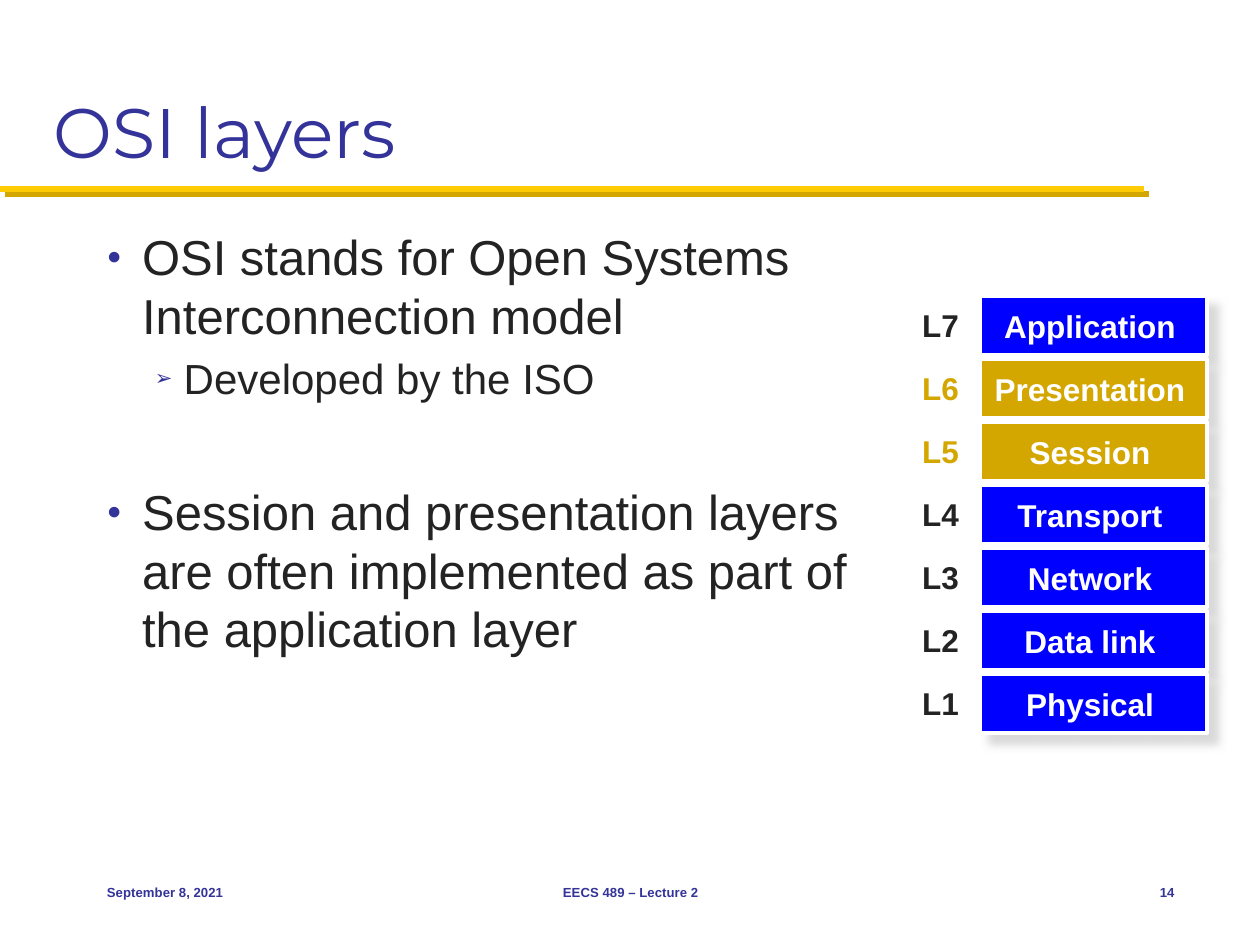
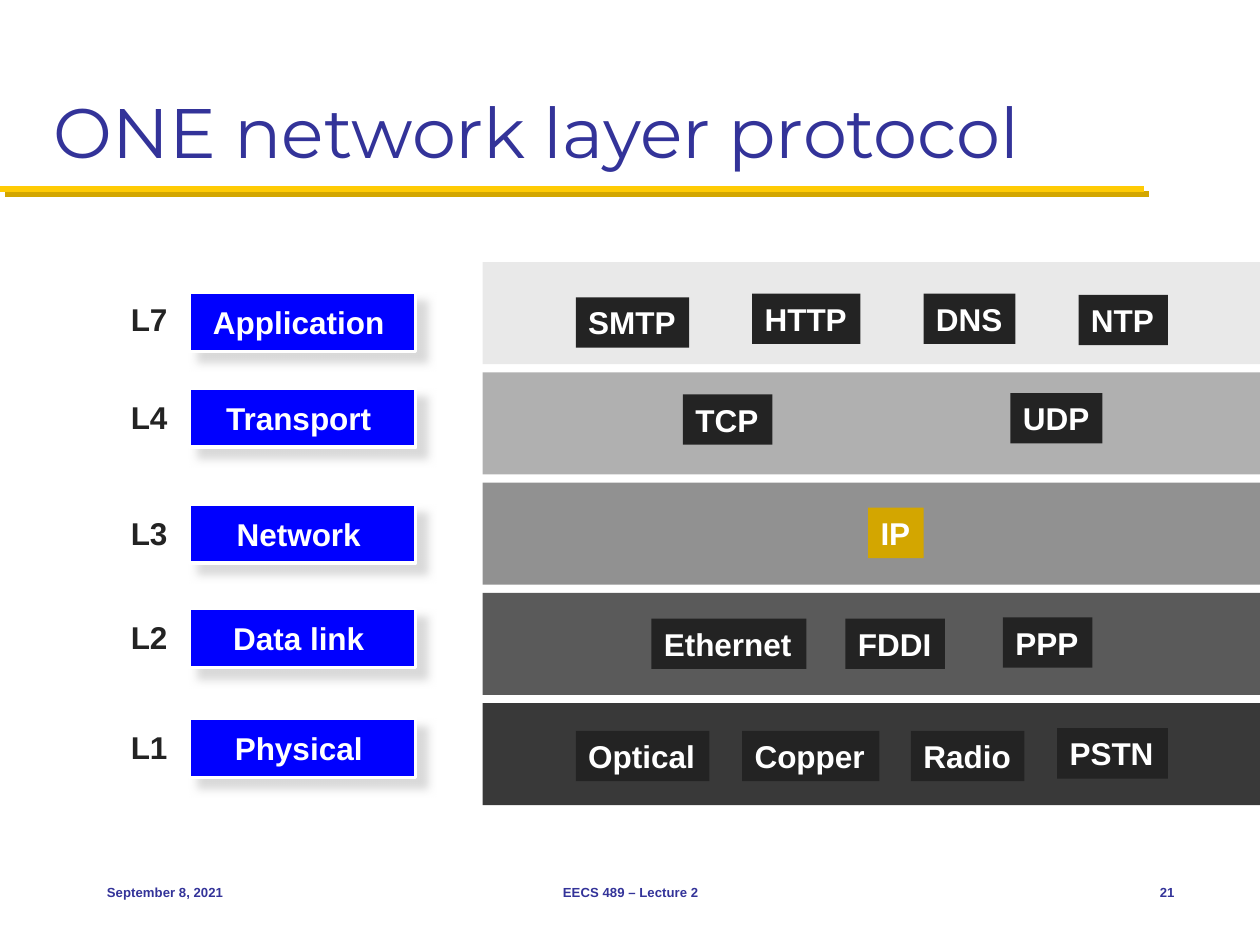
from dataclasses import dataclass
from typing import Optional

import lxml.etree
import pptx
import pptx.dml.color
import pptx.enum.shapes
import pptx.enum.text
import pptx.oxml.ns
import pptx.presentation
import pptx.shapes.base
import pptx.slide
import pptx.util

Inches = pptx.util.Inches
Pt = pptx.util.Pt
RGBColor = pptx.dml.color.RGBColor
Align = pptx.enum.text.PP_ALIGN
Anchor = pptx.enum.text.MSO_ANCHOR
qn = pptx.oxml.ns.qn

INDIGO = RGBColor(0x33, 0x33, 0x99)
MAIZE = RGBColor(0xFF, 0xCB, 0x05)
GOLD = RGBColor(0xD3, 0xA6, 0x00)
BLUE = RGBColor(0x00, 0x00, 0xFF)
INK = RGBColor(0x23, 0x23, 0x23)
WHITE = RGBColor(0xFF, 0xFF, 0xFF)
SHADE = RGBColor(0xCE, 0xCE, 0xCE)
BAND_GREYS = [
    RGBColor(0xE9, 0xE9, 0xE9),
    RGBColor(0xB0, 0xB0, 0xB0),
    RGBColor(0x91, 0x91, 0x91),
    RGBColor(0x5A, 0x5A, 0x5A),
    RGBColor(0x39, 0x39, 0x39),
]

BODY_FONT = "Arial"
TITLE_FONT = "Montserrat"
LINE_HEIGHT = 1.2
SPACE_BEFORE = 0.2

LAYER_WIDTH, LAYER_HEIGHT = 1.8, 0.47
LABEL_GAP = 0.56
CHIP_HEIGHT = 0.4
BAND_LEFT, BAND_TOP, BAND_WIDTH, BAND_HEIGHT = 3.83, 2.08, 6.17, 0.81
BAND_PITCH = 3.5 / 4
STACK_TOP, STACK_PITCH = 2.35, 0.5


@dataclass(frozen=True)
class Frame:
    left: float
    top: float
    width: float
    height: float

    def lengths(self) -> list[pptx.util.Length]:
        return [Inches(n) for n in (self.left, self.top, self.width, self.height)]


@dataclass(frozen=True)
class Style:
    size: float
    color: RGBColor
    bold: bool = False
    font: str = BODY_FONT


@dataclass(frozen=True)
class Layer:
    number: str
    name: str
    top: float
    color: RGBColor = BLUE
    label_color: RGBColor = INK
    label_drop: float = 0.03


@dataclass(frozen=True)
class Chip:
    text: str
    left: float
    top: float
    width: float
    color: RGBColor = INK


@dataclass(frozen=True)
class Bullet:
    text: str
    mark: str
    size: float
    margin: float
    hang: float
    before: float


TITLE_STYLE = Style(40, INDIGO, font=TITLE_FONT)
FOOTER_STYLE = Style(7.5, INDIGO, bold=True)
BOX_STYLE = Style(18, WHITE, bold=True)

BULLETS = [
    Bullet("OSI stands for Open Systems Interconnection model", "●", 28, 0.28, 0.28, 0),
    Bullet("Developed by the ISO", "➢", 24, 0.61, 0.23, 24 * SPACE_BEFORE),
    Bullet(
        "Session and presentation layers are often implemented as part of the application layer",
        "●", 28, 0.28, 0.28, 28 * (2 * SPACE_BEFORE + LINE_HEIGHT),
    ),
]

OSI_NAMES = [
    "Application", "Presentation", "Session", "Transport", "Network", "Data link", "Physical",
]
MERGED_NAMES = ("Presentation", "Session")

INTERNET_LAYERS = [
    Layer("L7", "Application", 2.32, label_drop=0.01),
    Layer("L4", "Transport", 3.08),
    Layer("L3", "Network", 4),
    Layer("L2", "Data link", 4.83),
    Layer("L1", "Physical", 5.7),
]

PROTOCOLS = [
    Chip("SMTP", 4.57, 2.36, 0.9),
    Chip("HTTP", 5.97, 2.33, 0.86),
    Chip("DNS", 7.33, 2.33, 0.73),
    Chip("NTP", 8.56, 2.34, 0.71),
    Chip("TCP", 5.42, 3.13, 0.71),
    Chip("UDP", 8.02, 3.12, 0.73),
    Chip("IP", 6.89, 4.03, 0.44, GOLD),
    Chip("Ethernet", 5.17, 4.91, 1.23),
    Chip("FDDI", 6.71, 4.91, 0.79),
    Chip("PPP", 7.96, 4.9, 0.71),
    Chip("Optical", 4.57, 5.8, 1.06),
    Chip("Copper", 5.89, 5.8, 1.09),
    Chip("Radio", 7.23, 5.8, 0.9),
    Chip("PSTN", 8.39, 5.78, 0.88),
]


def add_run(para, text: str, style: Style) -> None:
    span = para.add_run()
    span.text = text
    span.font.name = style.font
    span.font.size = Pt(style.size)
    span.font.bold = style.bold
    span.font.color.rgb = style.color


def write(shape, text: str, style: Style, align=Align.LEFT, anchor=Anchor.TOP,
          wrap: bool = False) -> None:
    """Put one paragraph of a single style into a shape."""
    frame = shape.text_frame
    frame.word_wrap = wrap
    frame.vertical_anchor = anchor
    para = frame.paragraphs[0]
    para.alignment = align
    add_run(para, text, style)


def cast_shadow(shape: pptx.shapes.base.BaseShape, color: RGBColor, opacity: int,
                blur: float, distance: float) -> None:
    """Add an outer shadow that falls to the lower right."""
    properties = shape._element.spPr
    effects = properties.find(qn("a:effectLst"))
    if effects is None:
        effects = lxml.etree.SubElement(properties, qn("a:effectLst"))
    shadow = lxml.etree.SubElement(
        effects, qn("a:outerShdw"), blurRad=str(Pt(blur)), dist=str(Pt(distance)),
        dir=str(45 * 60000), algn="tl", rotWithShape="0",
    )
    tint = lxml.etree.SubElement(shadow, qn("a:srgbClr"), val=str(color))
    lxml.etree.SubElement(tint, qn("a:alpha"), val=str(opacity * 1000))


def add_text(page: pptx.slide.Slide, frame: Frame, text: str, style: Style, **layout) -> None:
    write(page.shapes.add_textbox(*frame.lengths()), text, style, **layout)


def add_rectangle(page: pptx.slide.Slide, frame: Frame, fill: RGBColor,
                  line: Optional[RGBColor] = None):
    shape = page.shapes.add_shape(
        pptx.enum.shapes.MSO_SHAPE.RECTANGLE, *frame.lengths())
    shape.fill.solid()
    shape.fill.fore_color.rgb = fill
    if line is None:
        shape.line.fill.background()
    else:
        shape.line.color.rgb = line
        shape.line.width = Pt(2)
    shape.shadow.inherit = False
    return shape


def add_page(deck: pptx.presentation.Presentation, title: str, number: int) -> pptx.slide.Slide:
    """Add a blank slide with the shared title, rule and footer."""
    page = deck.slides.add_slide(deck.slide_layouts[6])
    rule = page.shapes.add_connector(
        pptx.enum.shapes.MSO_CONNECTOR.STRAIGHT,
        Inches(0), Inches(1.5), Inches(9.08), Inches(1.5))
    rule.line.color.rgb = MAIZE
    rule.line.width = Pt(3.5)
    cast_shadow(rule, GOLD, 100, 0, 4.2)
    add_text(page, Frame(0.33, 0.17, 9.33, 1.25), title, TITLE_STYLE,
             anchor=Anchor.BOTTOM, wrap=True)
    footers = [
        ("September 8, 2021", 0.75, 2.08, Align.LEFT),
        ("EECS 489 – Lecture 2", 3.42, 3.17, Align.CENTER),
        (str(number), 8.75, 0.67, Align.RIGHT),
    ]
    for text, left, width, align in footers:
        add_text(page, Frame(left, 6.83, width, 0.5), text, FOOTER_STYLE,
                 align=align, anchor=Anchor.MIDDLE, wrap=True)
    return page


def add_layer(page: pptx.slide.Slide, layer: Layer, left: float) -> None:
    """Draw a layer box with its number to the left."""
    box = add_rectangle(
        page, Frame(left, layer.top, LAYER_WIDTH, LAYER_HEIGHT), layer.color, WHITE)
    cast_shadow(box, SHADE, 75, 5, 8)
    frame = box.text_frame
    frame.margin_left = frame.margin_top = frame.margin_bottom = Inches(0.04)
    write(box, layer.name, BOX_STYLE, Align.CENTER, Anchor.MIDDLE)
    add_text(page, Frame(left - LABEL_GAP, layer.top + layer.label_drop, 0.5, CHIP_HEIGHT),
             layer.number, Style(18, layer.label_color, bold=True))


def add_bullet(para, bullet: Bullet) -> None:
    properties = para._p.get_or_add_pPr()
    properties.set("marL", str(Inches(bullet.margin)))
    properties.set("indent", str(-Inches(bullet.hang)))
    color = lxml.etree.SubElement(properties, qn("a:buClr"))
    lxml.etree.SubElement(color, qn("a:srgbClr"), val=str(INDIGO))
    lxml.etree.SubElement(properties, qn("a:buSzPct"), val="50000")
    lxml.etree.SubElement(properties, qn("a:buFont"), typeface=BODY_FONT)
    lxml.etree.SubElement(properties, qn("a:buChar"), char=bullet.mark)
    para.line_spacing = Pt(bullet.size * LINE_HEIGHT)
    if bullet.before:
        para.space_before = Pt(bullet.before)
    add_run(para, bullet.text, Style(bullet.size, INK))


def build_osi_page(deck: pptx.presentation.Presentation) -> None:
    page = add_page(deck, "OSI layers", 14)
    body = page.shapes.add_textbox(*Frame(0.75, 1.75, 6.19, 4.83).lengths()).text_frame
    body.word_wrap = True
    for index, bullet in enumerate(BULLETS):
        add_bullet(body.add_paragraph() if index else body.paragraphs[0], bullet)
    for index, name in enumerate(OSI_NAMES):
        merged = name in MERGED_NAMES
        layer = Layer(f"L{len(OSI_NAMES) - index}", name, STACK_TOP + index * STACK_PITCH,
                      GOLD if merged else BLUE, GOLD if merged else INK)
        add_layer(page, layer, 7.78)


def build_protocol_page(deck: pptx.presentation.Presentation) -> None:
    page = add_page(deck, "ONE network layer protocol", 21)
    for index, grey in enumerate(BAND_GREYS):
        top = BAND_TOP + index * BAND_PITCH
        add_rectangle(page, Frame(BAND_LEFT, top, BAND_WIDTH, BAND_HEIGHT), grey)
    for layer in INTERNET_LAYERS:
        add_layer(page, layer, 1.5)
    for chip in PROTOCOLS:
        frame = Frame(chip.left, chip.top, chip.width, CHIP_HEIGHT)
        write(add_rectangle(page, frame, chip.color), chip.text, BOX_STYLE)


def main() -> None:
    deck = pptx.Presentation()
    deck.slide_width = Inches(10)
    deck.slide_height = Inches(7.5)
    build_osi_page(deck)
    build_protocol_page(deck)
    deck.save("out.pptx")


if __name__ == "__main__":
    main()
